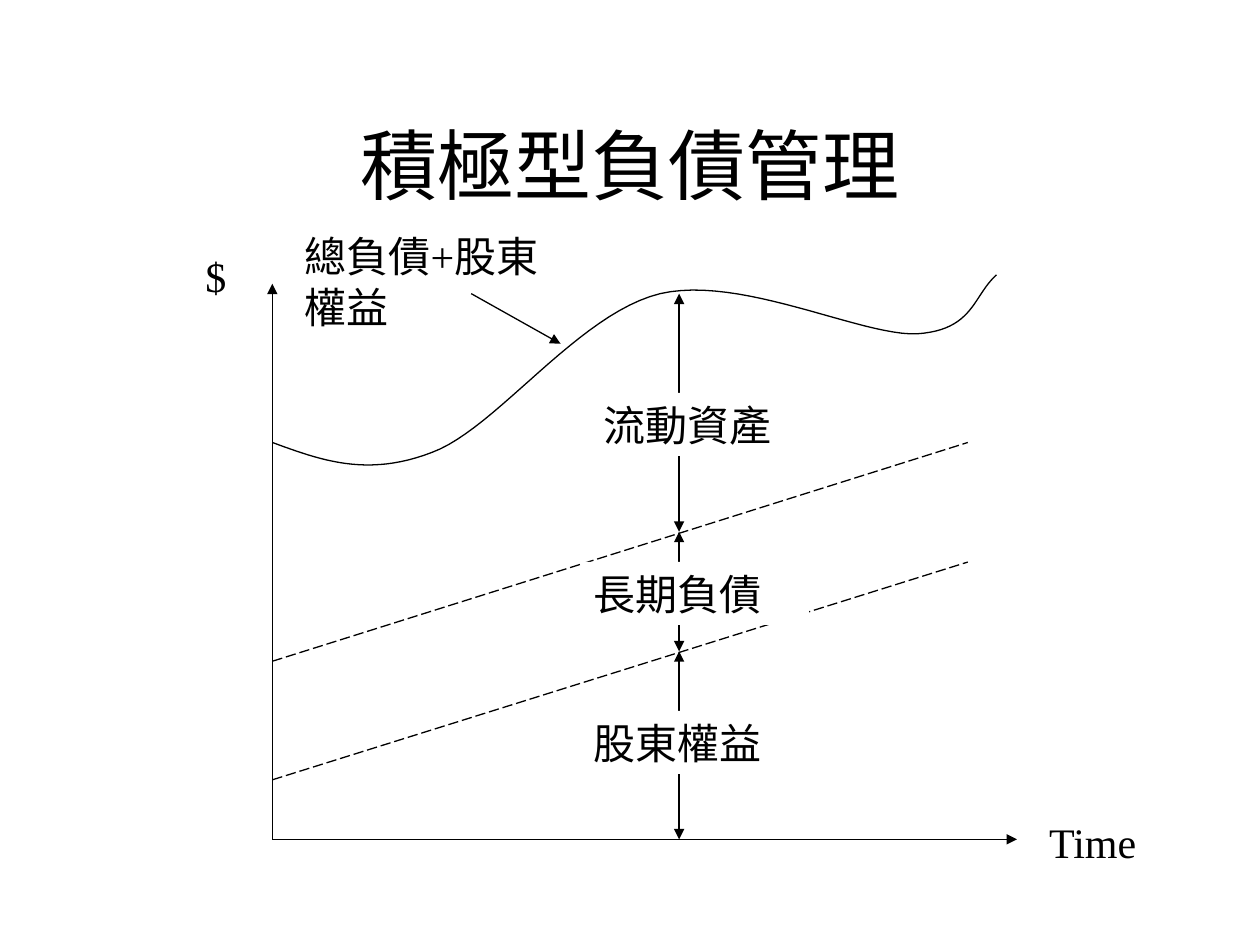
"""Build the aggressive liability management slide."""
from dataclasses import dataclass
from typing import Optional

from lxml.etree import SubElement
from pptx import Presentation
from pptx.dml.color import RGBColor
from pptx.enum.dml import MSO_LINE_DASH_STYLE as Dash
from pptx.enum.shapes import MSO_CONNECTOR_TYPE as ConnectorType, MSO_SHAPE as ShapeType
from pptx.enum.text import MSO_ANCHOR as Anchor, MSO_AUTO_SIZE as AutoSize, PP_ALIGN as Align
from pptx.oxml.ns import qn
from pptx.util import Cm, Pt

COLORS = {"ink": "000000", "paper": "FFFFFF"}
FRAME_FORMAT = {
    "margin_left": Cm(0.25), "margin_right": Cm(0.25),
    "margin_top": Cm(0.13), "margin_bottom": Cm(0.13), "word_wrap": True,
}
ORIGIN_X, ORIGIN_Y = 5.49, 16.92
MEASURE_X = 13.69
TREND_END_X = 19.51
LEVELS = {"total": 5.92, "debt": 10.72, "equity": 13.13}
CURVE_START = (ORIGIN_X, 8.92)
CURVE_SEGMENTS = [
    ((6.45, 9.27), (7.39, 9.63), (8.71, 9.12)),
    ((10.01, 8.64), (11.66, 6.32), (13.31, 5.92)),
    ((14.94, 5.54), (17.37, 6.78), (18.49, 6.73)),
    ((19.63, 6.65), (19.61, 5.97), (20.09, 5.54)),
]


@dataclass
class Label:
    """Text with its place in centimetres."""
    text: str
    left: float
    top: float
    width: float
    height: float = 1.27
    filled: bool = False


@dataclass
class Line:
    """Straight line between two points in centimetres."""
    start: tuple[float, float]
    end: tuple[float, float]
    dash: Optional[Dash] = None
    head: bool = False
    tail: bool = True


def color(name: str) -> RGBColor:
    """Look up a colour."""
    return RGBColor.from_string(COLORS[name])


def write_text(shape, text: str, size: float, align: Align, anchor: Anchor, fit: AutoSize) -> None:
    """Put formatted text in a shape."""
    frame = shape.text_frame
    frame_format = {**FRAME_FORMAT, "vertical_anchor": anchor, "auto_size": fit}
    for name, value in frame_format.items():
        setattr(frame, name, value)
    frame.text = text
    paragraph = frame.paragraphs[0]
    paragraph.alignment = align
    font = paragraph.runs[0].font
    for name, value in {"name": "Times New Roman", "size": Pt(size)}.items():
        setattr(font, name, value)
    font.color.rgb = color("ink")


def draw_label(slide, label: Label) -> None:
    """Draw a label, on a white rectangle when it is filled."""
    box = [Cm(value) for value in (label.left, label.top, label.width, label.height)]
    if label.filled:
        shape = slide.shapes.add_shape(ShapeType.RECTANGLE, *box)
        shape.shadow.inherit = False
        shape.fill.solid()
        shape.fill.fore_color.rgb = color("paper")
        shape.line.fill.background()
    else:
        shape = slide.shapes.add_textbox(*box)
    write_text(shape, label.text, 24, Align.LEFT, Anchor.TOP, AutoSize.SHAPE_TO_FIT_TEXT)


def draw_line(slide, line: Line) -> None:
    """Draw a line with its dash and arrowheads."""
    points = [Cm(value) for value in (*line.start, *line.end)]
    connector = slide.shapes.add_connector(ConnectorType.STRAIGHT, *points)
    connector.line.width = Pt(0.75)
    connector.line.color.rgb = color("ink")
    if line.dash is not None:
        connector.line.dash_style = line.dash
    properties = connector.line._get_or_add_ln()
    for tag, shown in (("a:headEnd", line.head), ("a:tailEnd", line.tail)):
        if shown:
            SubElement(properties, qn(tag), type="triangle")
    SubElement(connector._element.spPr, qn("a:effectLst"))


def curve_points(steps: int = 24) -> list[tuple[int, int]]:
    """Sample the Bezier segments of the total curve."""
    points, start = [], CURVE_START
    for segment in CURVE_SEGMENTS:
        for step in range(1, steps + 1):
            t = step / steps
            weights = ((1 - t) ** 3, 3 * t * (1 - t) ** 2, 3 * t**2 * (1 - t), t**3)
            x, y = (sum(w * v for w, v in zip(weights, values))
                    for values in zip(start, *segment))
            points.append((Cm(x), Cm(y)))
        start = segment[-1]
    return points


def draw_curve(slide) -> None:
    """Draw the total liabilities and equity curve."""
    builder = slide.shapes.build_freeform(*(Cm(value) for value in CURVE_START))
    builder.add_line_segments(curve_points(), close=False)
    curve = builder.convert_to_shape()
    curve.shadow.inherit = False
    curve.fill.background()
    curve.line.width = Pt(0.75)
    curve.line.color.rgb = color("ink")


def measure(top: float, bottom: float) -> Line:
    """Make a vertical double arrow."""
    return Line((MEASURE_X, top), (MEASURE_X, bottom), head=True)


def trend(start_y: float, end_y: float) -> Line:
    """Make a dashed trend line."""
    return Line((ORIGIN_X, start_y), (TREND_END_X, end_y), Dash.LONG_DASH, tail=False)


def main() -> None:
    """Build and save the presentation."""
    presentation = Presentation()
    presentation.slide_width, presentation.slide_height = Cm(25.4), Cm(19.05)
    slide = presentation.slides.add_slide(presentation.slide_layouts[5])

    title = slide.shapes.title
    place = {"left": 1.9, "top": 1.7, "width": 21.6, "height": 3.18}
    for name, value in place.items():
        setattr(title, name, Cm(value))
    write_text(title, "積極型負債管理", 44, Align.CENTER, Anchor.MIDDLE, AutoSize.NONE)

    origin = (ORIGIN_X, ORIGIN_Y)
    background = [
        Line(origin, (ORIGIN_X, 5.72)),
        Line(origin, (20.5, ORIGIN_Y)),
        Label("$", 3.89, 4.93, 1.19),
        Label("Time", 20.9, 16.33, 3),
        trend(15.72, 11.33),
        trend(13.33, 8.92),
        measure(LEVELS["equity"], ORIGIN_Y),
        Label("股東權益", 11.71, 14.33, 4.6, filled=True),
        measure(LEVELS["debt"], LEVELS["equity"]),
        Label("長期負債", 11.71, 11.33, 4.6, filled=True),
    ]
    foreground = [
        measure(LEVELS["total"], LEVELS["debt"]),
        Label("流動資產", 11.91, 7.92, 4.19, filled=True),
        Line((9.5, 5.92), (11.3, 6.93)),
        Label("總負債+股東權益", 5.89, 4.52, 5.99, 2.29),
    ]

    def draw_all(items: list) -> None:
        """Draw lines and labels from back to front."""
        for item in items:
            draw = draw_line if isinstance(item, Line) else draw_label
            draw(slide, item)

    draw_all(background)
    draw_curve(slide)
    draw_all(foreground)
    presentation.save("out.pptx")


if __name__ == "__main__":
    main()
